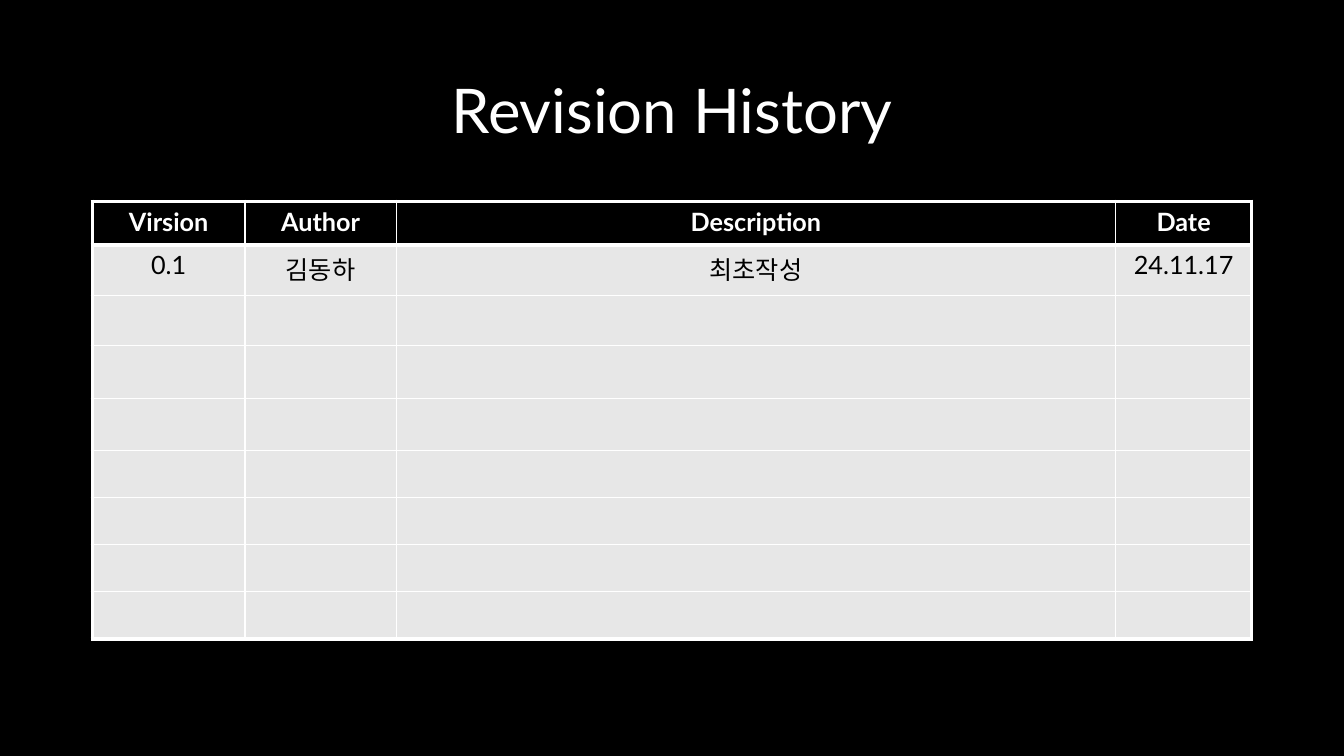
from dataclasses import dataclass

from lxml import etree
from pptx import Presentation
from pptx import util as u
from pptx.dml.color import RGBColor
from pptx.enum import text
from pptx.oxml import ns


@dataclass(frozen=True)
class Theme:
    font: str = "Lato"
    dark: str = "000000"
    light: str = "FFFFFF"
    pale: str = "E7E7E7"
    head: int = 44
    body: int = 18
    thin: int = 1
    thick: int = 3


THEME = Theme()
HEADS = ["Virsion", "Author", "Description", "Date"]
ENTRY = ["0.1", "김동하", "최초작성", "24.11.17"]
WIDTHS = [109, 108, 514, 97]
HEIGHTS = [31, 36, 36, 37.5, 37.5] + [33.6] * 4


def paint(fill, tone):
    fill.solid()
    fill.fore_color.rgb = RGBColor.from_string(tone)


def style(frame, size, tone, bold=False):
    for para in frame.paragraphs:
        para.alignment = text.PP_ALIGN.CENTER
        for run in para.runs:
            run.font.name = THEME.font
            run.font.size = u.Pt(size)
            run.font.bold = bold
            run.font.color.rgb = RGBColor.from_string(tone)


def edge(cell, sides):
    props = cell._tc.get_or_add_tcPr()
    for spot, (side, heavy) in enumerate(sides.items()):
        width = THEME.thick if heavy else THEME.thin
        line = etree.Element(ns.qn(f"a:ln{side}"), w=str(u.Pt(width)))
        fill = etree.SubElement(line, ns.qn("a:solidFill"))
        etree.SubElement(fill, ns.qn("a:srgbClr"), val=THEME.light)
        props.insert(spot, line)


def add_title(slide, left, top, width, height):
    title = slide.shapes.title
    title.left, title.top = u.Pt(left), u.Pt(top)
    title.width, title.height = u.Pt(width), u.Pt(height)
    frame = title.text_frame
    frame.text = "Revision History"
    frame.vertical_anchor = text.MSO_ANCHOR.MIDDLE
    frame.paragraphs[0].line_spacing = 0.9
    style(frame, THEME.head, THEME.light)


def add_log(slide, left, top, width, height):
    rows, cols = len(HEIGHTS), len(WIDTHS)
    box = [u.Pt(n) for n in (left, top, width, height)]
    table = slide.shapes.add_table(rows, cols, *box).table
    for col, size in zip(table.columns, WIDTHS):
        col.width = u.Pt(size * width / sum(WIDTHS))
    for row, size in zip(table.rows, HEIGHTS):
        row.height = u.Pt(size * height / sum(HEIGHTS))
    for r in range(rows):
        for c in range(cols):
            cell = table.cell(r, c)
            top_row = r == 0
            if r < 2:
                cell.text_frame.text = (HEADS, ENTRY)[r][c]
            tone = THEME.light if top_row else THEME.dark
            style(cell.text_frame, THEME.body, tone, top_row)
            paint(cell.fill, THEME.dark if top_row else THEME.pale)
            edge(cell, {
                "L": c == 0,
                "R": c == cols - 1,
                "T": top_row,
                "B": r in (0, rows - 1),
            })


def main():
    deck = Presentation()
    deck.slide_width, deck.slide_height = u.Pt(960), u.Pt(540)
    slide = deck.slides.add_slide(deck.slide_layouts[5])
    paint(slide.background.fill, THEME.dark)
    add_title(slide, 66, 28.8, 828, 104.4)
    add_log(slide, 66, 144, 828, 312.4)
    deck.save("out.pptx")


if __name__ == "__main__":
    main()
